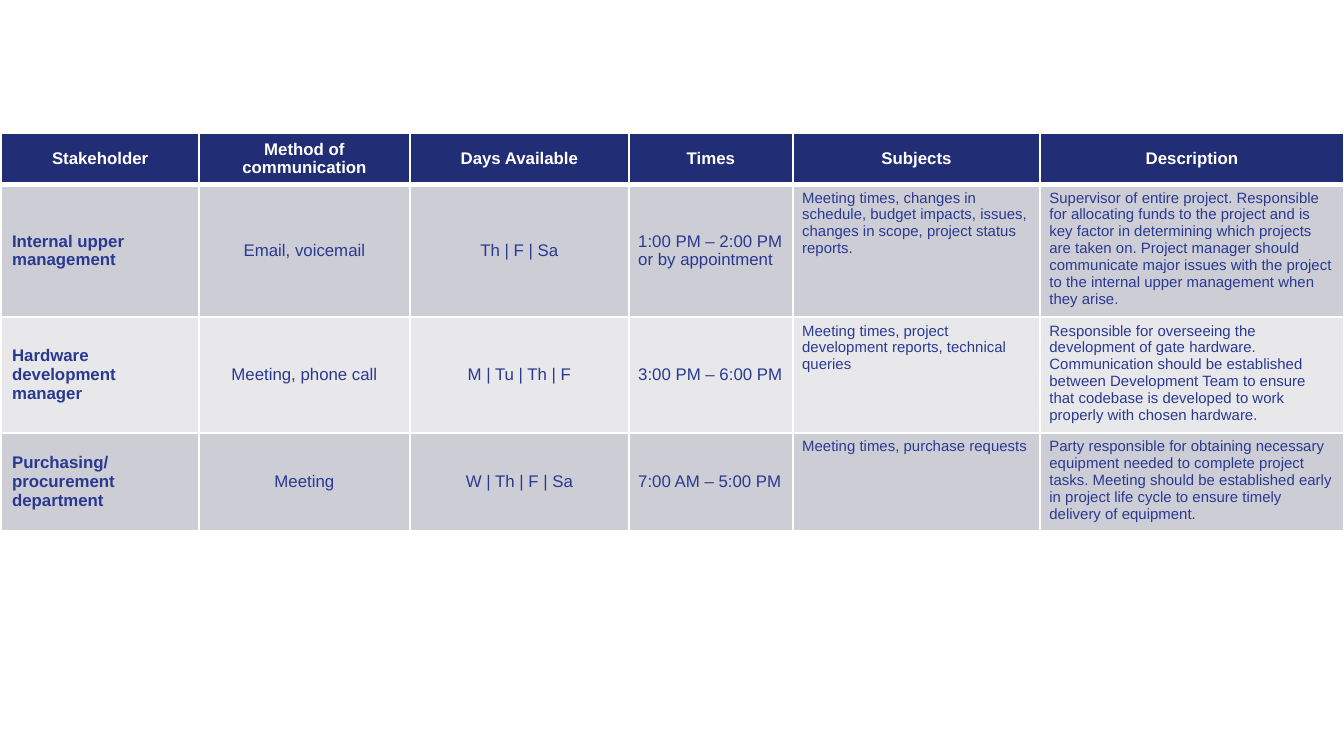
"""Build a slide with a stakeholder communication table."""
import pptx
import pptx.dml.color
import pptx.enum.text
import pptx.oxml
import pptx.oxml.ns
import pptx.util

Inches = pptx.util.Inches
Pt = pptx.util.Pt
RGBColor = pptx.dml.color.RGBColor
ALIGN = pptx.enum.text.PP_ALIGN
ANCHOR = pptx.enum.text.MSO_ANCHOR

WHITE = RGBColor(0xFF, 0xFF, 0xFF)
NAVY = RGBColor(0x21, 0x2D, 0x74)
BLUE = RGBColor(0x2A, 0x39, 0x90)
DARK_BAND = RGBColor(0xCD, 0xCD, 0xD6)
LIGHT_BAND = RGBColor(0xE8, 0xE8, 0xEB)

COLUMN_WIDTHS = [1.47, 1.57, 1.63, 1.22, 1.84, 2.26]
ROW_HEIGHTS = [0.38, 0.99, 0.86, 0.73]
ROWS = [
    ["Stakeholder", "Method of communication", "Days Available",
     "Times", "Subjects", "Description"],
    ["Internal upper management", "Email, voicemail", "Th | F | Sa",
     "1:00 PM – 2:00 PM or by appointment",
     "Meeting times, changes in schedule, budget impacts, issues, "
     "changes in scope, project status reports.",
     "Supervisor of entire project. Responsible for allocating funds to the "
     "project and is key factor in determining which projects are taken on. "
     "Project manager should communicate major issues with the project to "
     "the internal upper management when they arise."],
    ["Hardware development manager", "Meeting, phone call", "M | Tu | Th | F",
     "3:00 PM – 6:00 PM",
     "Meeting times, project development reports, technical queries",
     "Responsible for overseeing the development of gate hardware. "
     "Communication should be established between Development Team to ensure "
     "that codebase is developed to work properly with chosen hardware."],
    ["Purchasing/ procurement department", "Meeting", "W | Th | F | Sa",
     "7:00 AM – 5:00 PM",
     "Meeting times, purchase requests",
     "Party responsible for obtaining necessary equipment needed to complete "
     "project tasks. Meeting should be established early in project life "
     "cycle to ensure timely delivery of equipment."],
]


def write_text(cell, text, size=9, color=BLUE, bold=False,
               align=ALIGN.LEFT, anchor=ANCHOR.MIDDLE, side_margin=0.07):
    """Write one formatted paragraph into a table cell."""
    cell.margin_left = cell.margin_right = Inches(side_margin)
    cell.margin_top = cell.margin_bottom = Inches(0.04)
    cell.vertical_anchor = anchor
    para = cell.text_frame.paragraphs[0]
    para.alignment = align
    span = para.add_run()
    span.text = text
    span.font.name = "Arial"
    span.font.size = Pt(size)
    span.font.bold = bold
    span.font.color.rgb = color


def add_borders(cell, top, bottom):
    """Draw white borders, with top and bottom widths in points."""
    properties = cell._tc.get_or_add_tcPr()
    for side, width in [("L", 1), ("R", 1), ("T", top), ("B", bottom)]:
        properties.append(pptx.oxml.parse_xml(
            f'<a:ln{side} {pptx.oxml.ns.nsdecls("a")} w="{Pt(width)}">'
            f'<a:solidFill><a:srgbClr val="{WHITE}"/></a:solidFill>'
            f'</a:ln{side}>'))


deck = pptx.Presentation()
deck.slide_width = Inches(10)
deck.slide_height = Inches(10) * 9 // 16
page = deck.slides.add_slide(deck.slide_layouts[6])

frame = page.shapes.add_table(
    len(ROWS), len(COLUMN_WIDTHS), Inches(0.01), Inches(0.99),
    Inches(sum(COLUMN_WIDTHS)), Inches(sum(ROW_HEIGHTS)))
table = frame.table
for column, width in zip(table.columns, COLUMN_WIDTHS):
    column.width = Inches(width)
for row, height in zip(table.rows, ROW_HEIGHTS):
    row.height = Inches(height)

for row_index, texts in enumerate(ROWS):
    header = row_index == 0
    band = NAVY if header else DARK_BAND if row_index % 2 else LIGHT_BAND
    for column_index, text in enumerate(texts):
        cell = table.cell(row_index, column_index)
        add_borders(cell, top=3 if row_index == 1 else 1, bottom=3 if header else 1)
        cell.fill.solid()
        cell.fill.fore_color.rgb = band
        if header:
            write_text(cell, text, color=WHITE, bold=True, align=ALIGN.CENTER)
        elif column_index == 0:
            write_text(cell, text, bold=True, side_margin=0.08)
        elif column_index >= 4:
            write_text(cell, text, size=8, anchor=ANCHOR.TOP)
        else:
            write_text(cell, text,
                       align=ALIGN.LEFT if column_index == 3 else ALIGN.CENTER)

deck.save("out.pptx")
